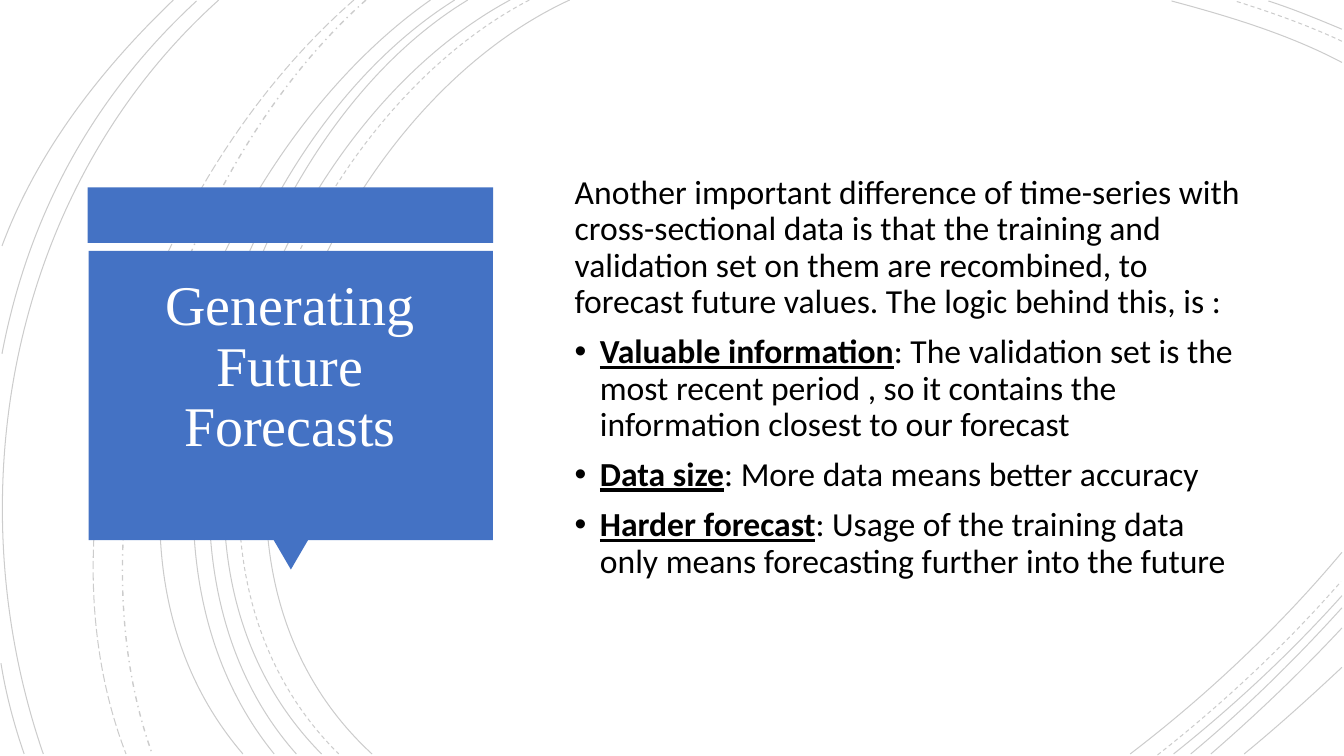
"""Build the slide on generating future forecasts."""
from dataclasses import dataclass

from lxml import etree
from pptx import Presentation
from pptx.dml.color import RGBColor
from pptx.enum.dml import MSO_LINE
from pptx.enum.shapes import MSO_SHAPE
from pptx.enum.text import MSO_ANCHOR, MSO_AUTO_SIZE, PP_ALIGN
from pptx.oxml.ns import qn
from pptx.util import Inches, Pt

SOLID, DASH, LONG_DASH, DASH_DOT = (
    MSO_LINE.SOLID, MSO_LINE.DASH, MSO_LINE.LONG_DASH, MSO_LINE.DASH_DOT)
RECTANGLE, TRIANGLE = MSO_SHAPE.RECTANGLE, MSO_SHAPE.ISOSCELES_TRIANGLE
MIDDLE, CENTER, NO_FIT = MSO_ANCHOR.MIDDLE, PP_ALIGN.CENTER, MSO_AUTO_SIZE.NONE


@dataclass(frozen=True)
class Theme:
    accent: RGBColor = RGBColor(0x44, 0x72, 0xC4)
    ink: RGBColor = RGBColor(0, 0, 0)
    paper: RGBColor = RGBColor(255, 255, 255)
    title_size: Pt = Pt(40)
    body_size: Pt = Pt(24)
    title_font: str = "Times New Roman"
    body_font: str = "Calibri"


THEME = Theme()
ARCS = [
    (SOLID, [(5.65, 0), (3.15, 1.15), (1.43, 5.4), (3.69, 7.48)]),
    (SOLID, [(13.31, 0.62), (12.78, 0.34), (12.18, 0.16), (11.62, 0.01)]),
    (SOLID, [(11.21, 7.48), (11.97, 6.9), (12.69, 6.22), (13.31, 5.48)]),
    (DASH, [(5.25, 0), (2.85, 1.25), (1.23, 5.37), (3.36, 7.48)]),
    (DASH, [(13.31, 0.41), (12.97, 0.25), (12.6, 0.12), (12.25, 0.01)]),
    (DASH, [(11.48, 7.49), (12.13, 6.98), (12.75, 6.4), (13.3, 5.77)]),
    (SOLID, [(5.06, 0), (2.7, 1.27), (1.1, 5.37), (3.19, 7.48)]),
    (SOLID, [(13.31, 0.29), (13.07, 0.19), (12.83, 0.09), (12.58, 0.01)]),
    (SOLID, [(11.64, 7.48), (12.23, 7.01), (12.8, 6.48), (13.31, 5.91)]),
    (SOLID, [(4.64, 0), (2.44, 1.33), (1.1, 5.41), (2.94, 7.48)]),
    (SOLID, [(11.81, 7.48), (12.34, 7.04), (12.84, 6.55), (13.31, 6.03)]),
    (SOLID, [(4.51, 0), (2.31, 1.38), (0.97, 5.33), (2.72, 7.48)]),
    (SOLID, [(12.01, 7.48), (12.46, 7.09), (12.9, 6.67), (13.31, 6.23)]),
    (SOLID, [(4.27, 0), (2.17, 1.47), (0.53, 5.29), (2.41, 7.48)]),
    (SOLID, [(12.34, 7.48), (12.67, 7.21), (12.99, 6.92), (13.31, 6.62)]),
    (DASH_DOT, [(3.63, 0), (1.76, 1.66), (0.65, 5.09), (1.51, 7.48)]),
    (LONG_DASH, [(3.51, 0), (1.57, 1.69), (0.29, 4.99), (1.25, 7.48)]),
    (SOLID, [(2.17, 0), (0.11, 1.85), (-0.46, 4.9), (0.43, 7.48)]),
    (SOLID, [(1.95, 0.01), (0.92, 0.96), (0.28, 2.14), (0.02, 3.51)]),
    (SOLID, [(0.01, 6.58), (0.06, 6.89), (0.14, 7.19), (0.24, 7.48)]),
    (SOLID, [(1.72, 0), (1, 0.69), (0.37, 1.5), (0.02, 2.44)]),
]
PANEL_PARTS = [
    (RECTANGLE, (0.87, 1.86, 4.02, 0.55), 0),
    (TRIANGLE, (2.71, 5.35, 0.35, 0.3), 180),
    (RECTANGLE, (0.88, 2.49, 4.01, 2.87), 0),
]
INTRO = ("Another important difference of time-series with cross-sectional data is "
         "that the training and validation set on them are recombined, to forecast "
         "future values. The logic behind this, is :")
REASONS = [
    ("Valuable information", ": The validation set is the most recent period , "
     "so it contains the information closest to our forecast"),
    ("Data size", ": More data means better accuracy"),
    ("Harder forecast", ": Usage of the training data only means forecasting "
     "further into the future"),
]


def assign(target, values):
    """Set each named attribute of the target."""
    for name, value in values.items():
        setattr(target, name, value)


deck = Presentation()
assign(deck, {"slide_width": Inches(13.33), "slide_height": Inches(7.5)})
slide = deck.slides.add_slide(deck.slide_layouts[1])
heading, explanation = slide.placeholders

arcs = slide.shapes.add_group_shape()
for dash, corners in ARCS:
    start, *rest = [(Inches(x), Inches(y)) for x, y in corners]
    outline = arcs.shapes.build_freeform(*start)
    outline.add_line_segments(rest, close=False)
    arc = outline.convert_to_shape()
    route = arc._element.find(".//" + qn("a:path"))
    bend = etree.SubElement(route, qn("a:cubicBezTo"))
    for segment in route.findall(qn("a:lnTo")):
        bend.append(segment[0])
        route.remove(segment)
    arc.shadow.inherit = False
    arc.fill.background()
    arc.line.color.rgb = THEME.ink
    assign(arc.line, {"width": Pt(1 if dash == DASH_DOT else 0.75), "dash_style": dash})
    ink = arc.line.fill._xPr.find(".//" + qn("a:srgbClr"))
    etree.SubElement(ink, qn("a:alpha"), val="20000")

panel = slide.shapes.add_group_shape()
for preset, box, turn in PANEL_PARTS:
    part = panel.shapes.add_shape(preset, *map(Inches, box))
    part.shadow.inherit = False
    part.rotation = turn
    part.fill.solid()
    part.fill.fore_color.rgb = THEME.accent
    part.line.fill.background()

for holder, box, bottom in ((heading, (0.99, 2.64, 3.77, 2.62), 0.65),
                            (explanation, (5.6, 0.88, 6.87, 5.74), 0.05)):
    slide.shapes._spTree.append(holder._element)
    assign(holder, dict(zip(("left", "top", "width", "height"), map(Inches, box))))
    assign(holder.text_frame, {"auto_size": NO_FIT, "word_wrap": True,
                               "vertical_anchor": MIDDLE,
                               "margin_bottom": Inches(bottom)})

heading.text_frame.text = "Generating Future Forecasts"
title_line = heading.text_frame.paragraphs[0]
assign(title_line, {"alignment": CENTER, "line_spacing": 0.9})
title_run = title_line.runs[0]
assign(title_run.font, {"size": THEME.title_size, "name": THEME.title_font})
title_run.font.color.rgb = THEME.paper

body = explanation.text_frame
for number, (term, detail) in enumerate([("", INTRO)] + REASONS):
    paragraph = body.add_paragraph() if number else body.paragraphs[0]
    assign(paragraph, {"line_spacing": 0.9, "space_before": Pt(10)})
    for words, marked in ((term, True), (detail, False)):
        if words:
            run = paragraph.add_run()
            run.text = words
            assign(run.font, {"size": THEME.body_size, "name": THEME.body_font,
                              "bold": marked, "underline": marked})
            run.font.color.rgb = THEME.ink
    layout = paragraph._p.get_or_add_pPr()
    indent = Inches(0.25) if term else 0
    layout.set("marL", str(indent))
    layout.set("indent", str(-indent))
    if term:
        etree.SubElement(layout, qn("a:buFont"), typeface="Arial")
        etree.SubElement(layout, qn("a:buChar"), char="•")
    else:
        etree.SubElement(layout, qn("a:buNone"))

deck.save("out.pptx")
